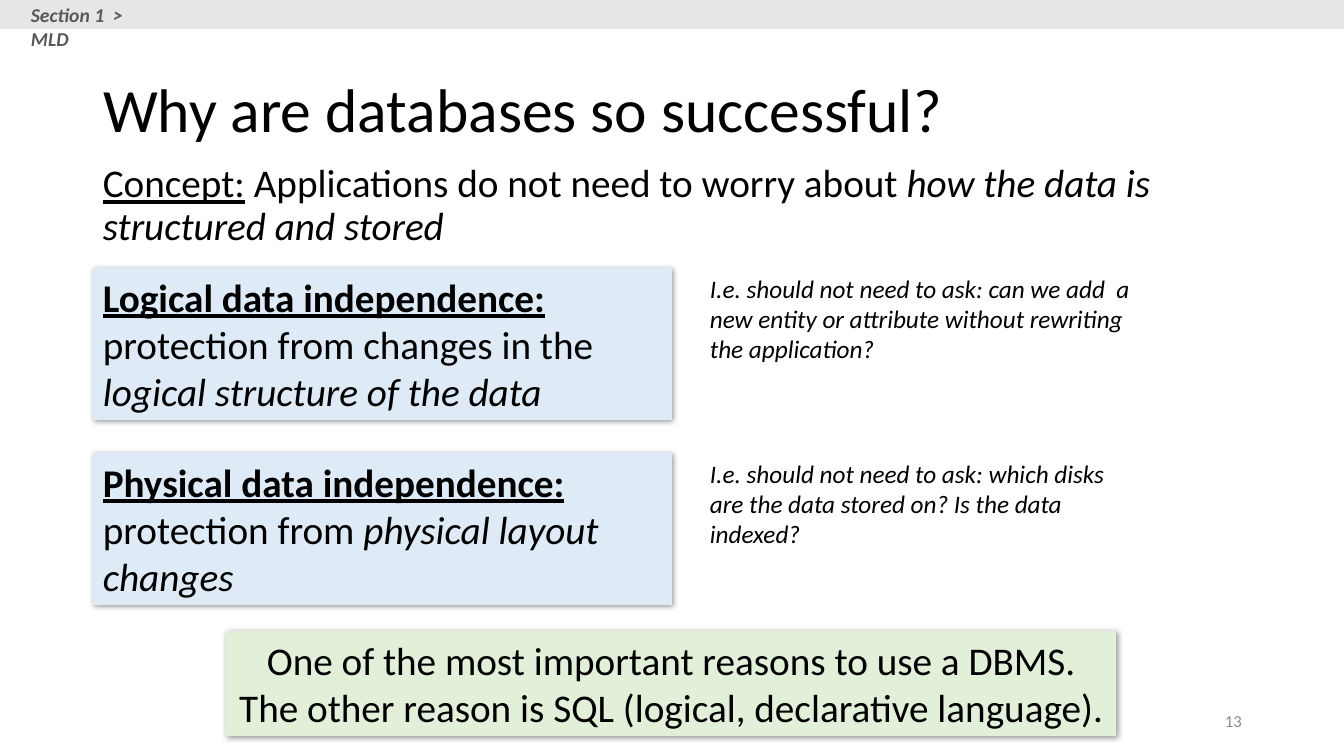
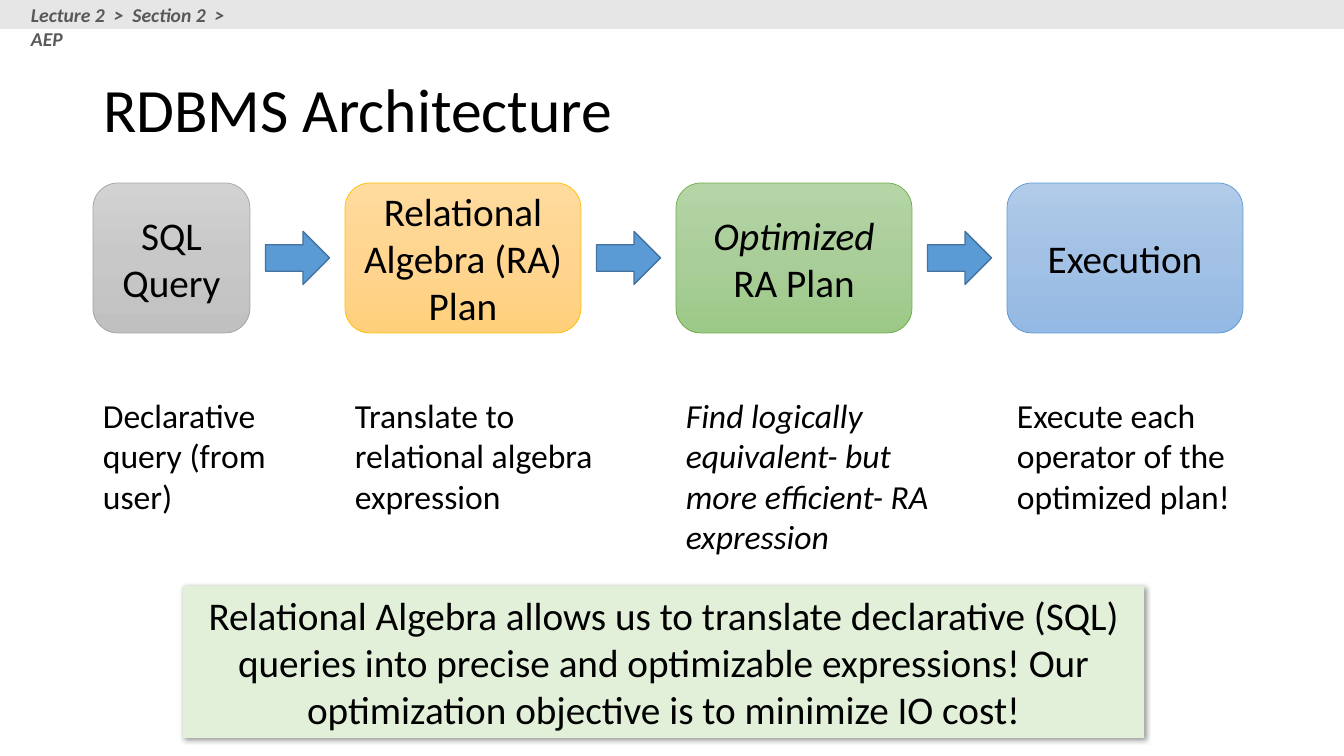
from copy import deepcopy

from lxml import etree
from pptx import Presentation
from pptx import util as u
from pptx.dml.color import RGBColor
from pptx.enum import shapes, text
from pptx.oxml.ns import qn

PX = 914400 / 100.8
SLIDE_W, SLIDE_H = 1344, 756
LEFT = 93
FONT = "Calibri"
BLACK, GREY_TEXT, NUMBER_GREY = "000000", "595959", "8C8C8C"
BAND, BLUE_PANEL, GREEN_PANEL = "E7E6E6", "DEEBF7", "E2F0D9"
ARROW_FILL, ARROW_LINE = "5B9BD5", "43739E"
SHAPE = shapes.MSO_SHAPE
ALIGN = text.PP_ALIGN
ANCHOR = text.MSO_ANCHOR


def px(n):
    return u.Emu(round(n * PX))


def rgb(color):
    return RGBColor.from_string(color)


def write(sp, runs, size, color=BLACK, align=ALIGN.LEFT, anchor=ANCHOR.TOP, spacing=None):
    """Fill a shape with one paragraph; runs are (text, flags), flags from b, i, u."""
    tf = sp.text_frame
    tf.word_wrap = True
    tf.auto_size = text.MSO_AUTO_SIZE.NONE
    tf.vertical_anchor = anchor
    p = tf.paragraphs[0]
    p.alignment = align
    if spacing:
        p.line_spacing = spacing
    for words, flags in runs:
        r = p.add_run()
        r.text = words
        r.font.name, r.font.size = FONT, u.Pt(size)
        r.font.color.rgb = rgb(color)
        r.font.bold, r.font.italic = "b" in flags, "i" in flags
        r.font.underline = "u" in flags


def add_text(s, box, runs, size, **style):
    write(s.shapes.add_textbox(*map(px, box)), runs, size, **style)


def add_shape(s, kind, box, fill=None, line=None, line_width=1):
    sp = s.shapes.add_shape(kind, *map(px, box))
    sp.shadow.inherit = False
    if fill:
        sp.fill.solid()
        sp.fill.fore_color.rgb = rgb(fill)
    if line:
        sp.line.color.rgb = rgb(line)
        sp.line.width = u.Pt(line_width)
    else:
        sp.line.fill.background()
    return sp


def add_gradient(sp, colors):
    """Fill from top to bottom with three evenly spaced colours."""
    sp.fill.gradient()
    sp.fill.gradient_angle = 270
    stops = sp._element.spPr.find(".//" + qn("a:gsLst"))
    stops.insert(1, deepcopy(stops[0]))
    for stop, position, color in zip(sp.fill.gradient_stops, (0, 0.5, 1), colors):
        stop.position = position
        stop.color.rgb = rgb(color)


def add_panel(s, box, fill, runs, align=ALIGN.LEFT):
    """Plain rectangle with a soft shadow and large text."""
    sp = add_shape(s, SHAPE.RECTANGLE, box, fill)
    effects = sp._element.spPr.find(qn("a:effectLst"))
    shadow = etree.SubElement(effects, qn("a:outerShdw"), blurRad=str(u.Pt(4)),
                              dist=str(u.Pt(1)), dir="2700000", algn="tl", rotWithShape="0")
    color = etree.SubElement(shadow, qn("a:srgbClr"), val=BLACK)
    etree.SubElement(color, qn("a:alpha"), val="40000")
    write(sp, runs, 28, align=align)


def add_slide(prs, title, trail, trail_width):
    """Slide with its title, top band and breadcrumb trail."""
    s = prs.slides.add_slide(prs.slide_layouts[5])
    sp = s.shapes.title
    sp.left, sp.top, sp.width, sp.height = map(px, (LEFT, 40, 1159, 146))
    write(sp, [(title, "")], 44, anchor=ANCHOR.MIDDLE, spacing=0.9)
    add_shape(s, SHAPE.RECTANGLE, (0, 0, SLIDE_W, 29), BAND)
    add_text(s, (21, -2, trail_width, 34), [(trail, "bi")], 14, color=GREY_TEXT)
    return s


def add_independence_row(s, top, runs, question, question_width):
    add_panel(s, (LEFT, top, 579, 152), BLUE_PANEL, runs)
    add_text(s, (700, top, question_width, 102), [(question, "i")], 18)


def add_pipeline(s, left, top, stages):
    """Row of stage boxes joined by block arrows, a caption under each."""
    height, gap, arrow_w, arrow_h = 150, 95, 64, 53
    x = left
    for i, (width, colors, line, label, caption) in enumerate(stages):
        if i:
            add_shape(s, SHAPE.RIGHT_ARROW,
                      (x - gap + (gap - arrow_w) / 2, top + (height - arrow_h) / 2,
                       arrow_w, arrow_h), ARROW_FILL, ARROW_LINE)
        sp = add_shape(s, SHAPE.ROUNDED_RECTANGLE, (x, top, width, height),
                       line=line, line_width=0.5)
        add_gradient(sp, colors)
        write(sp, label, 28, align=ALIGN.CENTER, anchor=ANCHOR.MIDDLE)
        add_text(s, (x, top + 207, width + 36, 173), [caption], 24)
        x += width + gap


def build_success_slide(prs):
    s = add_slide(prs, "Why are databases so successful?", "Section 1  >  MLD", 157)
    add_text(s, (LEFT, 159, 1159, 100), [
        ("Concept:", "u"),
        (" Applications do not need to worry about ", ""),
        ("how the data is structured and stored", "i"),
    ], 28, spacing=0.9)
    add_independence_row(s, 268, [
        ("Logical data independence:", "bu"),
        (" protection from changes in the ", ""),
        ("logical structure of the data", "i"),
    ], "I.e. should not need to ask: can we add  a new entity or attribute "
       "without rewriting the application?", 449)
    add_independence_row(s, 453, [
        ("Physical data independence:", "bu"),
        (" protection from ", ""),
        ("physical layout changes", "i"),
    ], "I.e. should not need to ask: which disks are the data stored on? "
       "Is the data indexed?", 430)
    add_panel(s, (226, 631, 890, 105), GREEN_PANEL, [
        ("One of the most important reasons to use a DBMS. "
         "The other reason is SQL (logical, declarative language).", ""),
    ], ALIGN.CENTER)
    add_text(s, (950, 701, 302, 40), [("13", "")], 12, color=NUMBER_GREY,
             align=ALIGN.RIGHT, anchor=ANCHOR.MIDDLE)


def build_architecture_slide(prs):
    s = add_slide(prs, "RDBMS Architecture", "Lecture 2  >  Section 2  >  AEP", 252)
    add_pipeline(s, LEFT, 183, [
        (157, ("D2D2D2", "C8C8C8", "C0C0C0"), "A5A5A5", [("SQL Query", "")],
         ("Declarative query (from user)", "")),
        (236, ("FFDB9E", "FFD590", "FFD07C"), "FFC000",
         [("Relational Algebra (RA) Plan", "")],
         ("Translate to relational algebra expression", "")),
        (236, ("B5D5A7", "AACE9A", "9CC987"), "70AD47",
         [("Optimized", "i"), (" RA Plan", "")],
         ("Find logically equivalent- but more efficient- RA expression", "i")),
        (236, ("B1CBE9", "A3C1E5", "93B9E4"), "5B9BD5", [("Execution", "")],
         ("Execute each operator of the optimized plan!", "")),
    ])
    add_panel(s, (183, 586, 961, 152), GREEN_PANEL, [
        ("Relational Algebra allows us to translate declarative (SQL) queries into "
         "precise and optimizable expressions! Our optimization objective is to "
         "minimize IO cost!", ""),
    ], ALIGN.CENTER)


def main():
    prs = Presentation()
    prs.slide_width, prs.slide_height = px(SLIDE_W), px(SLIDE_H)
    build_success_slide(prs)
    build_architecture_slide(prs)
    prs.save("out.pptx")


if __name__ == "__main__":
    main()
